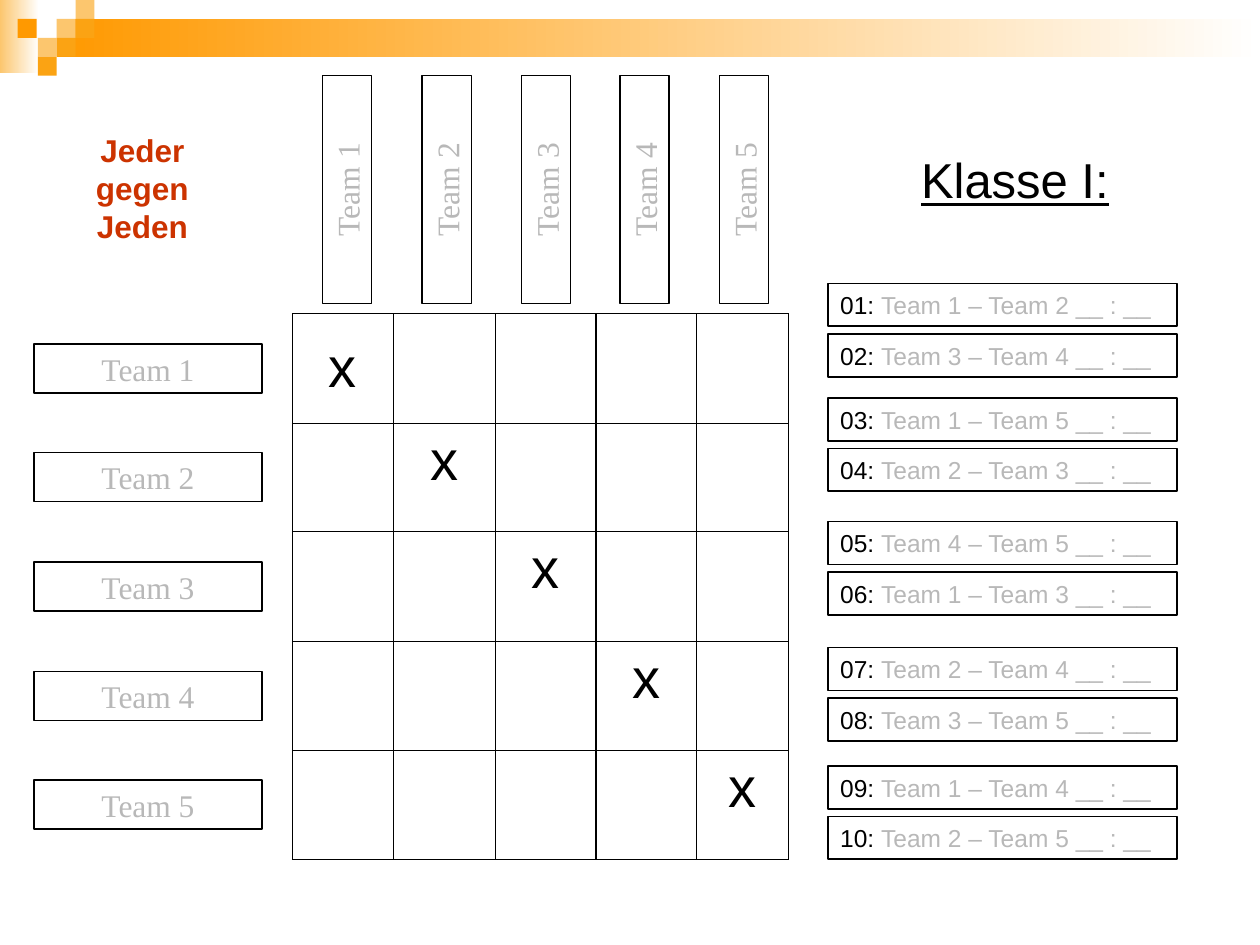
from pptx import Presentation
from pptx.dml.color import RGBColor
from pptx.enum.shapes import MSO_SHAPE as Shape
from pptx.enum.text import MSO_ANCHOR as Anchor, PP_ALIGN as Align
from pptx.oxml import parse_xml
from pptx.oxml.ns import nsdecls
from pptx.util import Pt

PX = 9144  # EMU per px, 100 px to the inch
GREY = "B8B8B8"
SERIF = "Times New Roman"
rgb = RGBColor.from_string


def box(left, top, width, height, fill=None, line=0):
    """Add a rectangle in px, plain or outlined in black with a line in points."""
    shape = slide.shapes.add_shape(
        Shape.RECTANGLE, left * PX, top * PX, width * PX, height * PX)
    shape.shadow.inherit = False
    if fill:
        shape.fill.solid()
        shape.fill.fore_color.rgb = rgb(fill)
    else:
        shape.fill.background()
    if line:
        shape.line.color.rgb = rgb("000000")
        shape.line.width = Pt(line)
    else:
        shape.line.fill.background()
    shape.text_frame.vertical_anchor = Anchor.MIDDLE
    return shape


def write(frame, text, size, color="000000", font="Arial", bold=False,
          underline=False, align=Align.LEFT, before=0):
    """Append text to the last paragraph; each further line starts a new one."""
    for number, line in enumerate(text.split("\n")):
        paragraph = frame.add_paragraph() if number else frame.paragraphs[-1]
        paragraph.alignment = align
        paragraph.space_before = Pt(before)
        run = paragraph.add_run()
        run.text = line
        run.font.size = Pt(size)
        run.font.name = font
        run.font.bold = bold
        run.font.underline = underline
        run.font.color.rgb = rgb(color)


prs = Presentation()
prs.slide_width, prs.slide_height = 1000 * PX, 750 * PX
slide = prs.slides.add_slide(prs.slide_layouts[5])

# Header band with its mosaic of squares
for left, top, width, height, start in [
    (0, 0, 31, 58, "FCC66E"),
    (45, 15, 955, 30, "FF9900"),
]:
    band = box(left, top, width, height)
    band.fill.gradient()
    band.fill.gradient_angle = 0
    for stop, color in zip(band.fill.gradient_stops, (start, "FFFFFF")):
        stop.color.rgb = rgb(color)

for left, top, color in [
    (45, 15, "FCC66E"), (60, 0, "FCC66E"), (60, 15, "FBA313"),
    (30, 30, "FCC66E"), (14, 15, "FF9900"), (45, 30, "FBA313"),
    (30, 45, "FBA313"),
]:
    box(left, top, 15, 15, fill=color)

# Title
title = slide.shapes.title
title.left, title.top, title.width, title.height = 721 * PX, 114 * PX, 169 * PX, 57 * PX
title.text_frame.word_wrap = False
title.text_frame.vertical_anchor = Anchor.TOP
write(title.text_frame, "Klasse I:", 28, underline=True)

# Team labels beside the rows and, turned, above the columns
teams = [f"Team {number}" for number in range(1, 6)]
for left, top, step_x, step_y, rotation in [
    (27, 273, 0, 86.5, 0),
    (185, 131, 78.75, 0, 270),
]:
    for i, team in enumerate(teams):
        label = box(left + round(i * step_x), top + round(i * step_y), 181, 39, line=0.75)
        label.rotation = rotation
        write(label.text_frame, team, 18, GREY, SERIF, align=Align.CENTER)

# Result grid, with the diagonal crossed out
grid = slide.shapes.add_table(5, 5, 232 * PX, 249 * PX, 394 * PX, 433 * PX).table
grid.first_row = grid.horz_banding = False
for column, width in zip(grid.columns, (80, 81, 80, 80, 73)):
    column.width = width * PX
for row, height in zip(grid.rows, (87, 86, 87, 87, 86)):
    row.height = height * PX
for cell in grid.iter_cells():
    properties = cell._tc.get_or_add_tcPr()
    for side in "LRTB":
        properties.append(parse_xml(
            f'<a:ln{side} {nsdecls("a")} w="9525"><a:solidFill>'
            f'<a:srgbClr val="000000"/></a:solidFill></a:ln{side}>'))
    cell.fill.background()
for i in range(5):
    write(grid.cell(i, i).text_frame, "x", 32, align=Align.CENTER, before=8)
grid.cell(0, 0).vertical_anchor = Anchor.MIDDLE

# Matches, two to a round
rounds = [
    (225, [(1, 2), (3, 4)]),
    (316, [(1, 5), (2, 3)]),
    (414, [(4, 5), (1, 3)]),
    (514, [(2, 4), (3, 5)]),
    (608, [(1, 4), (2, 5)]),
]
for r, (top, pairings) in enumerate(rounds):
    for i, (home, guest) in enumerate(pairings):
        match = box(657, top + 40 * i, 277, 34, line=1).text_frame
        write(match, f"{2 * r + i + 1:02}: ", 14)
        write(match, f"Team {home} – Team {guest} __ : __", 14, GREY)

# Playing mode
mode = slide.shapes.add_textbox(63 * PX, 99 * PX, 100 * PX, 100 * PX).text_frame
mode.word_wrap = False
write(mode, "Jeder\ngegen\nJeden", 18, "CC3300", bold=True, align=Align.CENTER)

prs.save("out.pptx")
